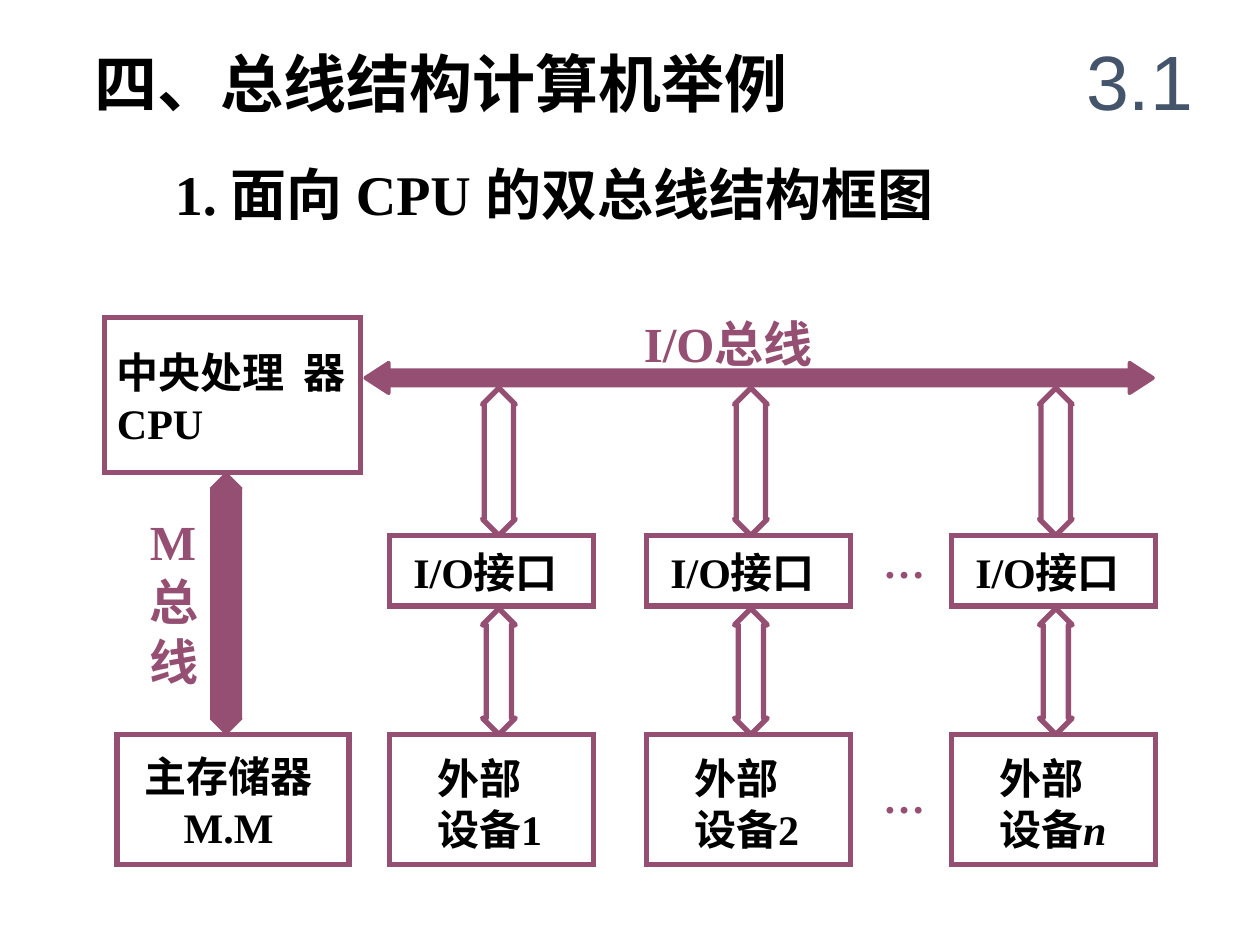
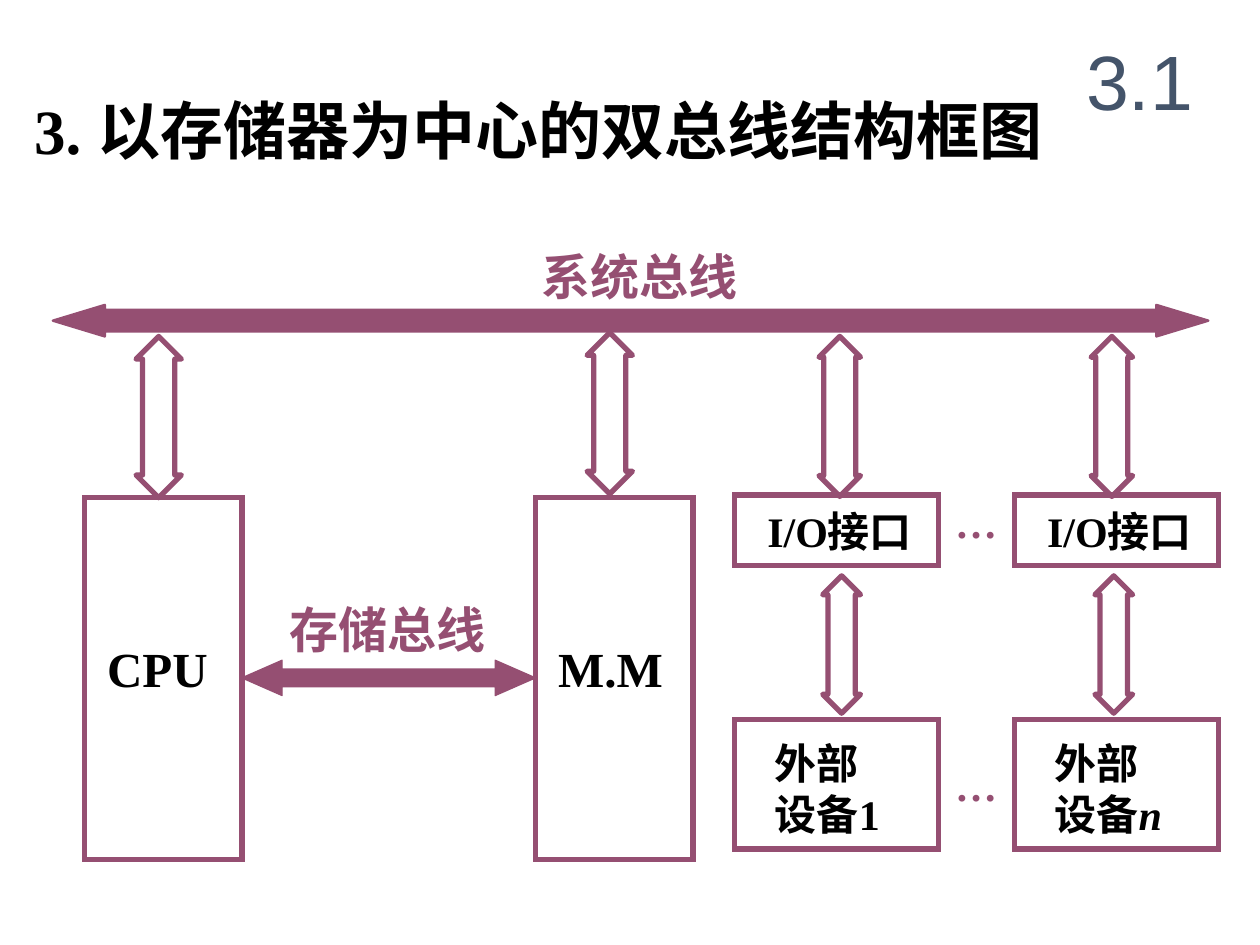
from lxml import etree
from pptx import Presentation
from pptx.dml.color import RGBColor
from pptx.enum.shapes import MSO_SHAPE as Shape
from pptx.enum.text import MSO_ANCHOR as Anchor, MSO_AUTO_SIZE as AutoSize, PP_ALIGN as Align
from pptx.oxml.ns import qn
from pptx.util import Inches, Pt

COLORS = {"ink": "000000", "bus": "954F72", "section": "44546A"}
LATIN, CHINESE = "Times New Roman", "Noto Sans CJK SC"
LINE_PITCH = 1.22  # line height as a multiple of the text size
CHINESE_DROP = 0.08  # Chinese lines sit lower by this part of the text size
NO_INSETS = (0, 0, 0, 0)
BOX_INSETS = (0.1, 0.05, 0.1, 0.05)


def color(name):
    return RGBColor.from_string(COLORS[name])


def set_attributes(target, values):
    for name, value in values.items():
        setattr(target, name, value)


def write(shape, lines, size, ink="ink", insets=BOX_INSETS, anchor=Anchor.TOP,
          align=Align.LEFT, font=LATIN, bold=True, pitch=LINE_PITCH):
    """Fill a shape with lines; a line is a string or a tuple of runs, the second italic."""
    left, top, right, bottom = insets
    if any(letter >= "一" for letter in str(lines)):
        top += CHINESE_DROP * size / 72
    frame = shape.text_frame
    set_attributes(frame, {
        "word_wrap": True, "auto_size": AutoSize.NONE, "vertical_anchor": anchor,
        "margin_left": Inches(left), "margin_top": Inches(top),
        "margin_right": Inches(right), "margin_bottom": Inches(bottom),
    })
    for number, line in enumerate(lines):
        paragraph = frame.add_paragraph() if number else frame.paragraphs[0]
        set_attributes(paragraph, {"alignment": align, "space_before": Pt(0)})
        if pitch:
            paragraph.line_spacing = Pt(round(size * pitch, 1))
        for index, text in enumerate((line,) if isinstance(line, str) else line):
            run = paragraph.add_run()
            run.text = text
            set_attributes(run.font, {"name": font, "size": Pt(size), "bold": bold,
                                      "italic": index > 0})
            run.font.color.rgb = color(ink)
            east_asian = etree.SubElement(run.font._element, qn("a:ea"))
            east_asian.set("typeface", CHINESE)


def add_label(slide, box, lines, size, **formats):
    write(slide.shapes.add_textbox(*map(Inches, box)), lines, size, **formats)


def add_outline(slide, kind, box, line_width, join, filled=False):
    shape = slide.shapes.add_shape(kind, *map(Inches, box))
    shape.shadow.inherit = False
    if filled:
        shape.fill.solid()
        shape.fill.fore_color.rgb = color("bus")
    else:
        shape.fill.background()
    shape.line.color.rgb = color("bus")
    shape.line.width = Pt(line_width)
    etree.SubElement(shape.line._get_or_add_ln(), qn("a:" + join))
    return shape


def add_block(slide, box, lines, size=24, **formats):
    write(add_outline(slide, Shape.RECTANGLE, box, 3, "miter"), lines, size, **formats)


def add_bus(slide, kind, box, shaft, head, line_width):
    """Solid double arrow; shaft and head are parts of its thickness."""
    arrow = add_outline(slide, kind, box, line_width, "round", filled=True)
    arrow.adjustments[0], arrow.adjustments[1] = shaft, head


def add_link(slide, box):
    """Hollow upright double arrow whose heads take a fifth of its height each."""
    arrow = add_outline(slide, Shape.UP_DOWN_ARROW, box, 3, "round")
    arrow.adjustments[0] = 0.5
    arrow.adjustments[1] = 0.2 * box[3] / box[2]


def add_device_column(slide, left, tops, device, text_insets, upper_link, lower_link):
    """Interface box over a device box; a link is (offset from left, top, width, height)."""
    interface_top, device_top = tops
    interface_inset, device_inset = text_insets
    add_block(slide, (left, interface_top, 1.62, 0.56), ["I/O接口"],
              insets=(interface_inset, 0.05, 0, 0))
    add_block(slide, (left, device_top, 1.62, 1.03), ["外部", device],
              insets=(device_inset, 0.11, 0, 0))
    for offset, *rest in (upper_link, lower_link):
        add_link(slide, (left + offset, *rest))


def add_ellipses(slide, left, tops):
    for top in tops:
        add_label(slide, (left, top, 0.41, 0.4), ["…"], 24, ink="bus", insets=NO_INSETS)


def start_slide(presentation, title, title_box):
    """Blank diagram slide with its heading and the section number."""
    slide = presentation.slides.add_slide(presentation.slide_layouts[5])
    heading = slide.shapes.title
    names = ("left", "top", "width", "height")
    set_attributes(heading, dict(zip(names, map(Inches, title_box))))
    write(heading, [title], 36)
    add_label(slide, (8.42, 0.17, 1.25, 0.92), ["3.1"], 44, ink="section", font="Arial",
              bold=False, anchor=Anchor.MIDDLE, align=Align.CENTER, pitch=None)
    return slide


def build_cpu_centred(presentation):
    slide = start_slide(presentation, "四、总线结构计算机举例", (0.65, 0.25, 6.27, 0.7))
    add_label(slide, (1.29, 1.17, 6.96, 0.63), ["1. 面向 CPU 的双总线结构框图"], 32)

    # Processor, memory and the bus between them
    add_block(slide, (0.83, 2.52, 2.03, 1.23), ["中央处理  器 CPU"],
              insets=(0.1, 0.05, 0.05, 0.05), anchor=Anchor.MIDDLE)
    add_block(slide, (0.93, 5.83, 1.84, 1.03), ["主存储器", "M.M"],
              insets=(0.05, 0.09, 0.12, 0.05), align=Align.CENTER)
    add_label(slide, (1.19, 4.02, 0.47, 1.4), ["M", "总", "线"], 28, ink="bus",
              insets=NO_INSETS)
    add_bus(slide, Shape.UP_DOWN_ARROW, (1.67, 3.75, 0.25, 2.08), 0.5, 0.98, 0.75)

    # I/O bus
    add_label(slide, (5.11, 2.45, 1.98, 0.47), ["I/O总线"], 28, ink="bus", insets=NO_INSETS)
    add_bus(slide, Shape.LEFT_RIGHT_ARROW, (2.9, 2.88, 6.25, 0.24), 0.5, 0.77, 2.25)

    # Interfaces and devices
    columns = [(3.09, 0.74, "设备1"), (5.13, 0.7, "设备2"), (7.55, 0.7, ("设备", "n"))]
    for left, offset, device in columns:
        add_device_column(slide, left, (4.25, 5.83), device, (0.19, 0.38),
                          (offset, 3.08, 0.26, 1.17), (offset, 4.83, 0.26, 1))
    add_ellipses(slide, 7.01, (4.25, 6.12))


def build_memory_centred(presentation):
    slide = start_slide(presentation, "3. 以存储器为中心的双总线结构框图",
                        (0.17, 0.63, 8.67, 0.7))

    # System bus
    add_label(slide, (4.3, 1.92, 2.53, 0.47), ["系统总线"], 28, ink="bus", insets=NO_INSETS)
    add_bus(slide, Shape.LEFT_RIGHT_ARROW, (0.42, 2.42, 9.17, 0.25), 0.68, 1.65, 1.38)

    # Processor and memory, with the memory bus between them
    for left, name, link_top in ((0.67, "CPU", 2.67), (4.25, "M.M", 2.64)):
        add_block(slide, (left, 3.95, 1.25, 2.87), [name], 28, insets=(0.18, 1.11, 0, 0))
        add_link(slide, (left + 0.41, link_top, 0.36, 1.28))
    add_label(slide, (2.2, 4.67, 1.9, 0.57), ["存储总线"], 28, ink="bus")
    add_bus(slide, Shape.LEFT_RIGHT_ARROW, (1.92, 5.24, 2.33, 0.28), 0.5, 1.14, 0.75)

    # Interfaces and devices
    columns = [(5.83, 0.67, "设备1"), (8.05, 0.61, ("设备", "n"))]
    for left, offset, device in columns:
        add_device_column(slide, left, (3.93, 5.71), device, (0.26, 0.32),
                          (offset, 2.67, 0.33, 1.27), (offset + 0.03, 4.57, 0.3, 1.09))
    add_ellipses(slide, 7.58, (3.93, 6.02))


def main():
    presentation = Presentation()
    presentation.slide_width, presentation.slide_height = Inches(10), Inches(7.5)
    build_cpu_centred(presentation)
    build_memory_centred(presentation)
    presentation.save("out.pptx")


if __name__ == "__main__":
    main()
